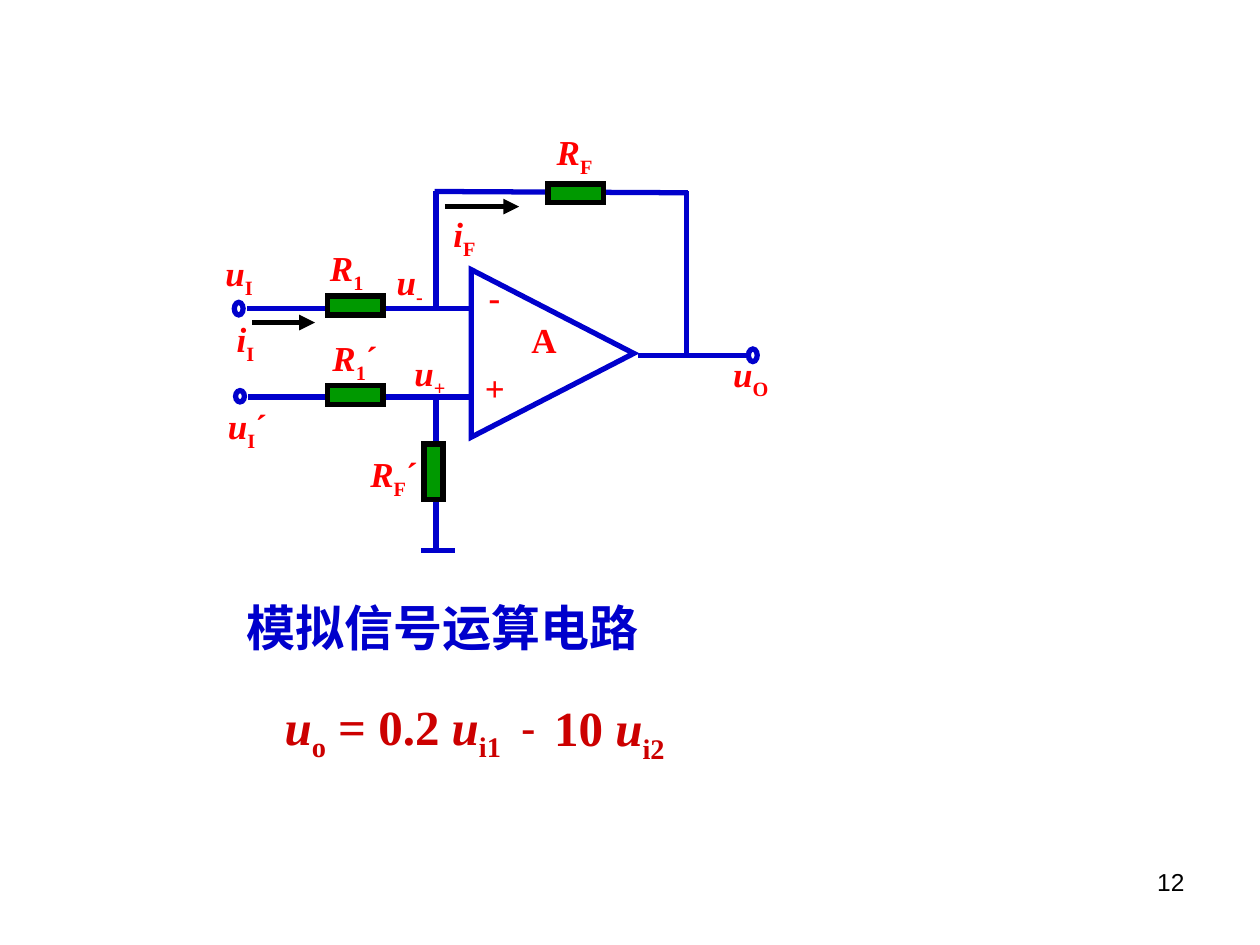
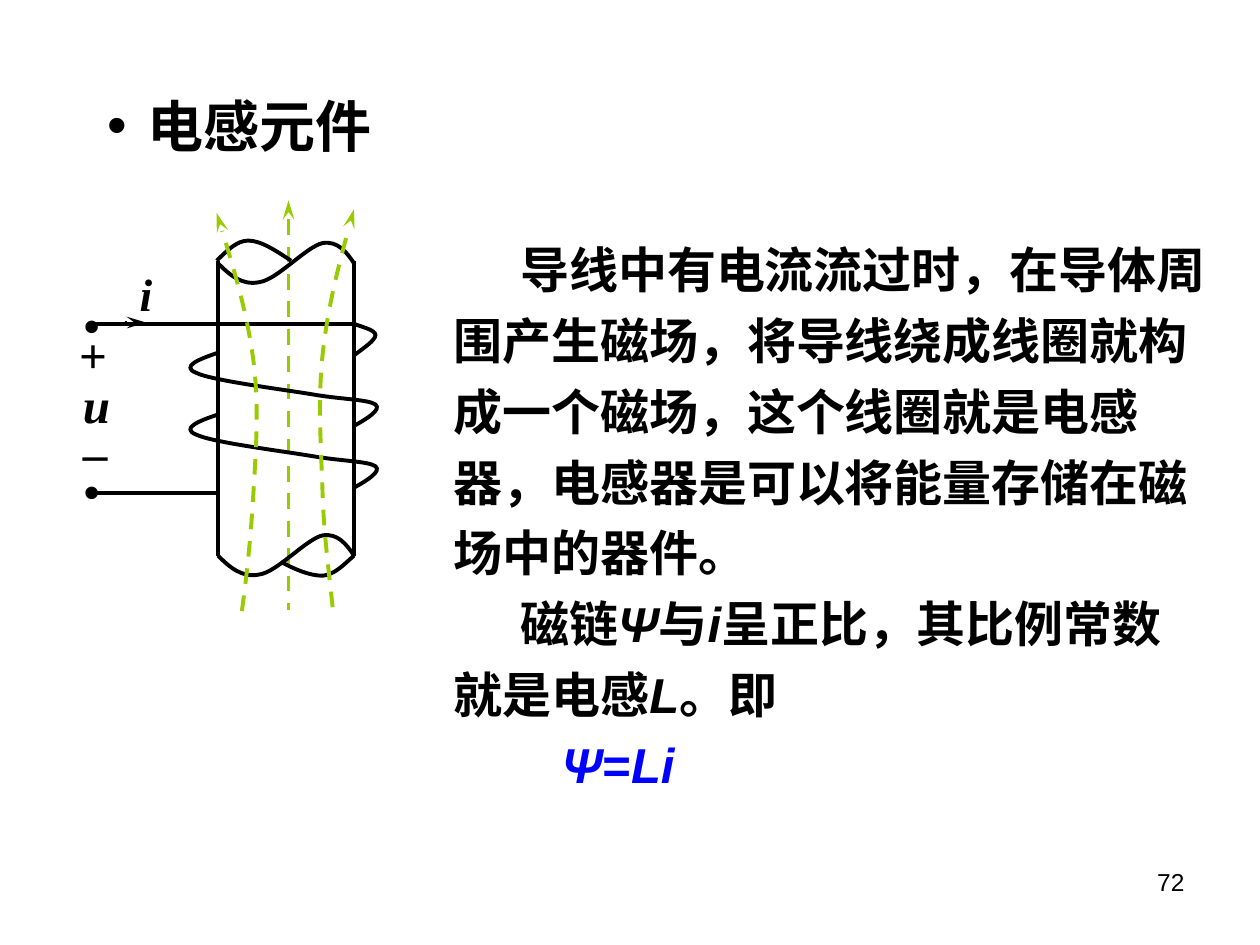
from lxml import etree
from pptx import Presentation
from pptx.dml.color import RGBColor
from pptx.enum.dml import MSO_LINE
from pptx.enum.shapes import MSO_CONNECTOR, MSO_SHAPE
from pptx.enum.text import MSO_ANCHOR, MSO_AUTO_SIZE, PP_ALIGN
from pptx.oxml.ns import qn
from pptx.util import Pt

PX = 9144  # 100 px to the inch

BLACK = RGBColor(0x00, 0x00, 0x00)
RED = RGBColor(0xFF, 0x00, 0x00)
DARK_RED = RGBColor(0xCC, 0x00, 0x00)
WIRE_BLUE = RGBColor(0x00, 0x00, 0xCC)
BLUE = RGBColor(0x00, 0x00, 0xFF)
RESISTOR_GREEN = RGBColor(0x00, 0x99, 0x00)
FLUX_GREEN = RGBColor(0x99, 0xCC, 0x00)

SANS, SERIF = "Arial", "Times New Roman"
CJK_SC, CJK_JP = "Noto Sans CJK SC", "Noto Sans CJK JP"

STRAIGHT = MSO_CONNECTOR.STRAIGHT
RECTANGLE, ELLIPSE = MSO_SHAPE.RECTANGLE, MSO_SHAPE.OVAL
TRIANGLE = MSO_SHAPE.ISOSCELES_TRIANGLE
DASH = MSO_LINE.DASH
LEFT, RIGHT, TOP = PP_ALIGN.LEFT, PP_ALIGN.RIGHT, MSO_ANCHOR.TOP
NO_FIT = MSO_AUTO_SIZE.NONE

TITLE_ONLY, TITLE_AND_CONTENT = 5, 1
ITALIC, SUBSCRIPT = {"italic": True}, {"baseline": -25000}
BLOCK_ARROW = {"type": "triangle"}
STEALTH_ARROW = {"type": "stealth", "w": "med", "len": "lg"}


def apply(target, formats):
    for attribute, value in formats.items():
        setattr(target, attribute, value)


class Deck:
    def __init__(self):
        self.prs = Presentation()
        apply(self.prs, {"slide_width": 1000 * PX, "slide_height": 750 * PX})
        self.slide = None

    def new_slide(self, layout, number):
        self.slide = self.prs.slides.add_slide(self.prs.slide_layouts[layout])
        frame = self.text((717, 683, 233, 52), [(number, {})], 14, SANS, bold=False)
        frame.paragraphs[0].alignment = RIGHT

    def frame(self, shape):
        apply(shape.text_frame, {"word_wrap": True, "auto_size": NO_FIT,
                                 "vertical_anchor": TOP})
        return shape.text_frame

    def runs(self, paragraph, parts, size, font, color=BLACK, bold=True, cjk=CJK_SC):
        """Adds (text, differences) parts that share one character style."""
        for text, differences in parts:
            run = paragraph.add_run()
            run.text = text
            formats = {"size": Pt(size), "name": font, "bold": bold, "italic": False}
            formats.update(differences)
            baseline = formats.pop("baseline", None)
            apply(run.font, formats)
            run.font.color.rgb = color
            properties = run._r.get_or_add_rPr()
            etree.SubElement(properties, qn("a:ea")).set("typeface", cjk)
            if baseline:
                properties.set("baseline", str(baseline))

    def text(self, box, parts, size, font, color=BLACK, bold=True):
        shape = self.slide.shapes.add_textbox(*(n * PX for n in box))
        frame = self.frame(shape)
        self.runs(frame.paragraphs[0], parts, size, font, color, bold)
        return frame

    def placeholder(self, index, box):
        shape = self.slide.placeholders[index]
        apply(shape, dict(zip(("left", "top", "width", "height"),
                              (n * PX for n in box))))
        return self.frame(shape)

    def paragraph(self, paragraph, parts, spacing, margin, indent, bullet=None, **style):
        apply(paragraph, {"alignment": LEFT, "line_spacing": Pt(spacing),
                          "space_before": Pt(0)})
        properties = paragraph._p.get_or_add_pPr()
        properties.set("marL", str(margin * PX))
        properties.set("indent", str(indent * PX))
        properties.set("hangingPunct", "0")
        if bullet:
            etree.SubElement(properties, qn("a:buFont")).set("typeface", SANS)
            etree.SubElement(properties, qn("a:buChar")).set("char", bullet)
        else:
            etree.SubElement(properties, qn("a:buNone"))
        self.runs(paragraph, parts, font=SANS, **style)

    def stroke(self, shape, color, width, arrow=None, end="tailEnd", dashed=False):
        shape.line.color.rgb = color
        shape.line.width = Pt(width)
        if dashed:
            shape.line.dash_style = DASH
        if arrow:
            outline = shape.line._get_or_add_ln()
            etree.SubElement(outline, qn("a:" + end), arrow)

    def line(self, x1, y1, x2, y2, color, width, **stroke):
        connector = self.slide.shapes.add_connector(
            STRAIGHT, *(n * PX for n in (x1, y1, x2, y2)))
        self.stroke(connector, color, width, **stroke)
        etree.SubElement(connector._element.spPr, qn("a:effectLst"))

    def shape(self, kind, box, color, fill=None, rotation=0):
        shape = self.slide.shapes.add_shape(kind, *(n * PX for n in box))
        shape.shadow.inherit = False
        shape.rotation = rotation
        if fill is None:
            shape.fill.background()
        else:
            shape.fill.solid()
            shape.fill.fore_color.rgb = fill
        self.stroke(shape, color, 3)
        etree.SubElement(shape.line._get_or_add_ln(), qn("a:miter")).set("lim", "800000")

    def curve(self, points, color=BLACK, dy=0, **stroke):
        """Draws cubic curves: a start point, then three points per curve."""
        points = [(x, y + dy) for x, y in points]
        builder = self.slide.shapes.build_freeform(*points[0], scale=PX)
        builder.add_line_segments(points[1:], close=False)
        shape = builder.convert_to_shape()
        segments = list(shape._element.iter(qn("a:lnTo")))
        for start in range(0, len(segments), 3):
            cubic = etree.Element(qn("a:cubicBezTo"))
            segments[start].addprevious(cubic)
            for segment in segments[start:start + 3]:
                cubic.append(segment[0])
                segment.getparent().remove(segment)
        shape.shadow.inherit = False
        shape.fill.background()
        self.stroke(shape, color, 2.25, **stroke)


def symbol(base, sub, prime=""):
    parts = [(base, ITALIC), (sub, SUBSCRIPT)]
    return parts + [(prime, {})] if prime else parts


def amplifier_slide(deck):
    deck.new_slide(TITLE_ONLY, "12")

    deck.shape(TRIANGLE, (372, 216, 133, 129), WIRE_BLUE, rotation=90)
    wires = [
        (196, 245, 375, 245), (197, 315, 376, 315),  # inputs
        (506, 282, 594, 282),                        # output
        (345, 152, 546, 153), (545, 152, 545, 281), (346, 245, 346, 152),  # feedback
        (346, 315, 346, 436), (334, 437, 361, 437),  # ground
    ]
    for wire in wires:
        deck.line(*wire, WIRE_BLUE, 3)
    for x, y, height in [(186, 240, 10), (187, 310, 9), (594, 277, 10)]:
        deck.shape(ELLIPSE, (x, y, 7, height), WIRE_BLUE)
    for x, y, rotation in [(435, 146, 0), (260, 306, 0), (260, 235, 0), (322, 367, 90)]:
        deck.shape(RECTANGLE, (x, y, 44, 15), BLACK, RESISTOR_GREEN, rotation)
    for x, y, length in [(200, 256, 50), (353, 164, 59)]:
        deck.line(x, y, x + length, y, BLACK, 3, arrow=BLOCK_ARROW)

    labels = [
        (432, 99, 98, symbol("R", "F")),
        (178, 247, 45, symbol("i", "I")),
        (350, 164, 80, symbol("i", "F")),
        (252, 191, 90, symbol("R", "1")),
        (284, 354, 112, symbol("R", "F", "´")),
        (572, 275, 81, symbol("u", "O")),
        (169, 195, 84, symbol("u", "I")),
        (171, 316, 95, symbol("u", "I", "´")),
        (254, 262, 103, symbol("R", "1", "´")),
        (305, 202, 85, symbol("u", "-")),
        (319, 274, 62, symbol("u", "+")),
        (375, 286, 49, [("+", {})]),
        (378, 214, 54, [("-", {})]),
        (412, 248, 70, [("A", {})]),
    ]
    for x, y, width, parts in labels:
        deck.text((x, y, width, 48), parts, 20, SERIF, RED)

    title = deck.placeholder(0, (177, 469, 365, 57))
    deck.paragraph(title.paragraphs[0], [("模拟信号运算电路", {})], 33.5, 0, 9,
                   size=28, color=WIRE_BLUE)

    output = symbol("u", "o") + [(" = 0.2 ", {})] + symbol("u", "i1")
    deck.text((216, 548, 199, 63), output, 28, SERIF, DARK_RED)
    deck.text((404, 551, 156, 50), [("-", {})], 24, SERIF, DARK_RED)
    deck.text((430, 549, 111, 63), [("10 ", {})] + symbol("u", "i2"), 28, SERIF, DARK_RED)


def inductor_slide(deck):
    deck.new_slide(TITLE_AND_CONTENT, "72")

    title = deck.placeholder(0, (75, 68, 350, 64))
    deck.paragraph(title.paragraphs[0], [("电感元件", {})], 38, 32, -32,
                   bullet="•", size=32, cjk=CJK_JP)

    body = deck.placeholder(1, (350, 147, 618, 488))
    body.margin_top = 34 * PX
    explanation = [
        (53, BLACK, [("导线中有电流流过时，在导体周围产生磁场，将导线绕成线圈就构成一个磁场，"
                      "这个线圈就是电感器，电感器是可以将能量存储在磁场中的器件。", {})]),
        (53, BLACK, [("磁链", {}), ("Ψ", ITALIC), ("与", {}), ("i", ITALIC),
                     ("呈正比，其比例常数就是电感", {}), ("L", ITALIC), ("。即", {})]),
        (86, BLUE, [("Ψ", ITALIC), ("=", {}), ("Li", ITALIC)]),
    ]
    for position, (indent, color, parts) in enumerate(explanation):
        paragraph = body.add_paragraph() if position else body.paragraphs[0]
        deck.paragraph(paragraph, parts, 40.4, 0, indent, size=28, color=color)

    # Core
    deck.line(229, 159, 229, 484, FLUX_GREEN, 2.25, arrow=STEALTH_ARROW,
              end="headEnd", dashed=True)
    for x in (173, 281):
        deck.line(x, 207, x, 441, BLACK, 2.25)
    rim = [(173, 209), (182, 218), (192, 227), (206, 224), (220, 222),
           (243, 196), (256, 193), (268, 191), (275, 200), (281, 209)]
    for dy in (0, 232):
        deck.curve(rim, dy=dy)
    deck.curve([(172, 207), (180, 199), (188, 191), (197, 191),
                (207, 191), (219, 199), (231, 207)])
    deck.curve([(281, 441), (273, 448), (266, 456), (256, 457),
                (246, 457), (234, 452), (223, 446)])

    # Winding
    deck.curve([(281, 257), (289, 260), (298, 262), (298, 266),
                (298, 270), (289, 276), (281, 282)])
    turn = [(173, 280), (158, 285), (143, 291), (156, 296), (168, 302), (224, 309),
            (248, 313), (271, 317), (292, 317), (298, 321), (303, 325), (292, 332),
            (281, 338)]
    for dy in (0, 49):
        deck.curve(turn, dy=dy)
    deck.line(73, 257, 281, 257, BLACK, 2.25)
    deck.line(73, 391, 173, 391, BLACK, 2.25)
    deck.line(99, 256, 116, 256, BLACK, 2.25, arrow=STEALTH_ARROW)

    # Flux
    right_flux = [(264, 482), (261, 453), (257, 424), (256, 391), (255, 357),
                  (252, 320), (256, 282), (260, 245), (270, 205), (281, 166)]
    left_flux = [(192, 485), (196, 456), (199, 427), (201, 394), (203, 360),
                 (206, 323), (201, 285), (196, 248), (184, 208), (172, 169)]
    for flux in (right_flux, left_flux):
        deck.curve(flux, FLUX_GREEN, arrow=STEALTH_ARROW, dashed=True)

    terminal_marks = [
        ((56, 330, 33, 84), ".", 44, {}),
        ((56, 198, 33, 84), ".", 44, {}),
        ((101, 206, 40, 54), "i", 26, ITALIC),
        ((56, 292, 45, 57), "u", 28, ITALIC),
        ((53, 253, 67, 57), "+", 28, {}),
        ((56, 317, 67, 57), "_", 28, {}),
    ]
    for box, mark, size, differences in terminal_marks:
        deck.text(box, [(mark, differences)], size, SERIF)


def main():
    deck = Deck()
    amplifier_slide(deck)
    inductor_slide(deck)
    deck.prs.save("out.pptx")


if __name__ == "__main__":
    main()
